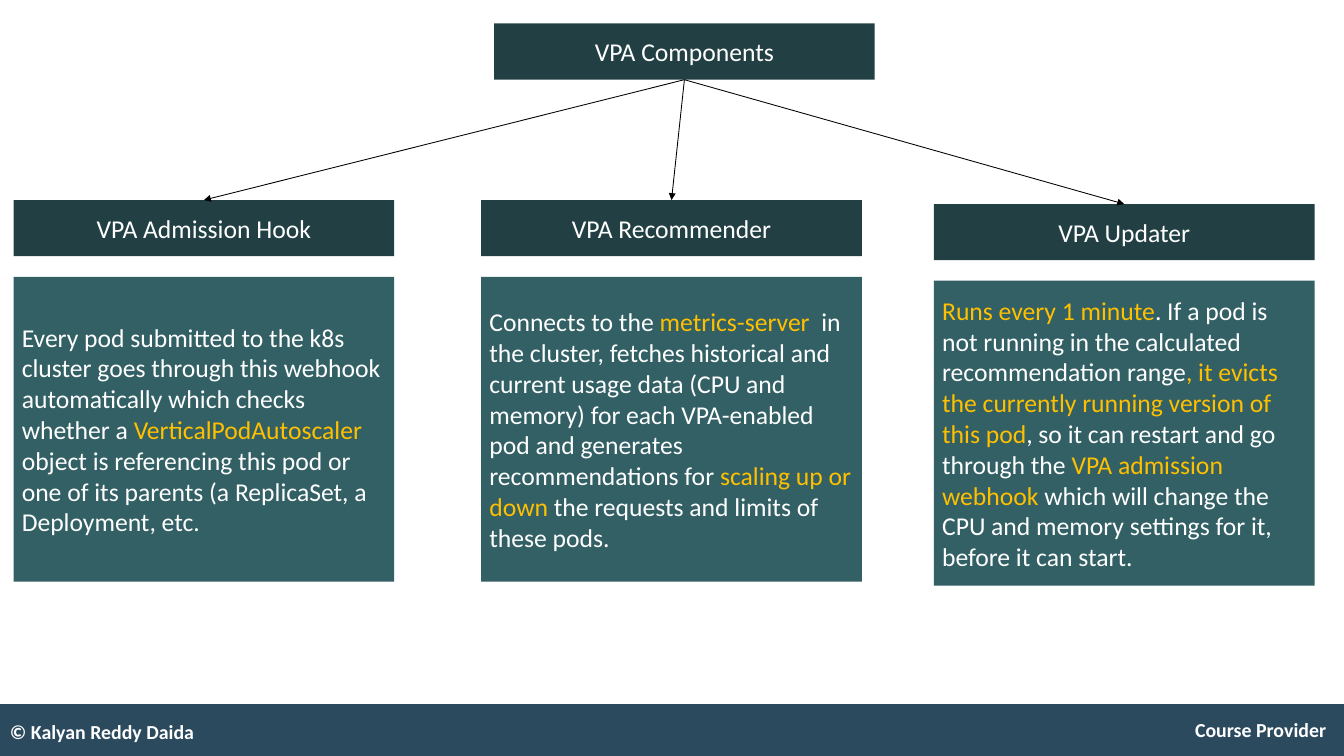
from lxml import etree
from pptx import Presentation
from pptx.dml.color import RGBColor
from pptx.enum.shapes import MSO_CONNECTOR, MSO_SHAPE
from pptx.enum.text import MSO_ANCHOR, MSO_AUTO_SIZE, PP_ALIGN
from pptx.oxml.ns import qn
from pptx.util import Cm, Pt

RECTANGLE = MSO_SHAPE.RECTANGLE
STRAIGHT = MSO_CONNECTOR.STRAIGHT
LEFT, CENTER = PP_ALIGN.LEFT, PP_ALIGN.CENTER

# Content: each text is a list of (wording, colour) runs
WHITE, GOLD, BLACK = "FFFFFF", "FFC000", "000000"
HEADER_FILL, BODY_FILL, FOOTER_FILL = "224043", "326065", "2B4A5E"
FONT = "Calibri"

TITLE = "VPA Components"
AUTHOR = "© Kalyan Reddy Daida"
BRAND = "Course Provider"

# Name, left and top in cm, description
COMPONENTS = [
    ("VPA Admission Hook", 0.41, 6.05, [
        ("Every pod submitted to the k8s cluster goes through this webhook "
         "automatically which checks whether a ", WHITE),
        ("VerticalPodAutoscaler ", GOLD),
        ("object is referencing this pod or one of its parents "
         "(a ReplicaSet, a Deployment, etc.", WHITE),
    ]),
    ("VPA Recommender", 14.55, 6.05, [
        ("Connects to the ", WHITE),
        ("metrics-server ", GOLD),
        (" in the cluster, fetches historical and current usage data "
         "(CPU and memory) for each VPA-enabled pod and generates "
         "recommendations for ", WHITE),
        ("scaling up or down ", GOLD),
        ("the requests and limits of these pods.", WHITE),
    ]),
    ("VPA Updater", 28.24, 6.17, [
        ("Runs every 1 minute", GOLD),
        (". If a pod is not running in the calculated recommendation range",
         WHITE),
        (", it evicts the currently running version of this pod", GOLD),
        (", so it can restart and go through the ", WHITE),
        ("VPA admission webhook", GOLD),
        (" which will change the CPU and memory settings for it, "
         "before it can start.", WHITE),
    ]),
]

# Layout in cm
SLIDE_WIDTH, SLIDE_HEIGHT = 40.64, 22.86
BOX_WIDTH, HEADER_HEIGHT, BODY_HEIGHT = 11.51, 1.7, 9.22
BODY_OFFSET = 2.32
TITLE_LEFT, TITLE_TOP = 14.94, 0.71
FOOTER_TOP = 21.29


def colour(value):
    return RGBColor.from_string(value)


def paint(shape, fill):
    shape.fill.solid()
    shape.fill.fore_color.rgb = colour(fill)
    shape.line.fill.background()


def write(shape, runs, alignment, size=22, bold=False, margins=(0.25, 0.13)):
    frame = shape.text_frame
    frame.word_wrap = True
    frame.auto_size = MSO_AUTO_SIZE.NONE
    frame.vertical_anchor = MSO_ANCHOR.MIDDLE
    frame.margin_left = frame.margin_right = Cm(margins[0])
    frame.margin_top = frame.margin_bottom = Cm(margins[1])
    paragraph = frame.paragraphs[0]
    paragraph.alignment = alignment
    for text, run_colour in runs:
        run = paragraph.add_run()
        run.text = text
        run.font.name = FONT
        run.font.size = Pt(size)
        run.font.bold = bold
        run.font.color.rgb = colour(run_colour)


def add_box(slide, left, top, width, height, fill):
    shape = slide.shapes.add_shape(
        RECTANGLE, Cm(left), Cm(top), Cm(width), Cm(height))
    shape.shadow.inherit = False
    paint(shape, fill)
    return shape


def add_footer_text(slide, text, left, top, width, alignment):
    box = slide.shapes.add_textbox(Cm(left), Cm(top), Cm(width), Cm(1.22))
    write(box, [(text, WHITE)], alignment, 17, True, (0.3, 0.15))


def add_arrow(slide, source, target):
    arrow = slide.shapes.add_connector(STRAIGHT, 0, 0, 0, 0)
    arrow.begin_connect(source, 2)
    arrow.end_connect(target, 0)
    arrow.line.color.rgb = colour(BLACK)
    arrow.line.width = Pt(0.75)
    line = arrow.line._get_or_add_ln()
    etree.SubElement(line, qn("a:tailEnd"), type="triangle")
    etree.SubElement(arrow._element.spPr, qn("a:effectLst"))


def main():
    presentation = Presentation()
    presentation.slide_width = Cm(SLIDE_WIDTH)
    presentation.slide_height = Cm(SLIDE_HEIGHT)
    slide = presentation.slides.add_slide(presentation.slide_layouts[5])

    # Footer band
    add_box(slide, 0, FOOTER_TOP, SLIDE_WIDTH, SLIDE_HEIGHT - FOOTER_TOP,
            FOOTER_FILL)
    add_footer_text(slide, BRAND, 35.3, 21.44, 5.64, CENTER)
    add_footer_text(slide, AUTHOR, 0, 21.51, 13.72, LEFT)

    # Title box at the root of the tree
    title = slide.shapes.title
    title.left, title.top = Cm(TITLE_LEFT), Cm(TITLE_TOP)
    title.width, title.height = Cm(BOX_WIDTH), Cm(HEADER_HEIGHT)
    paint(title, HEADER_FILL)
    write(title, [(TITLE, WHITE)], CENTER)

    # One header, description and arrow per component
    for name, left, top, description in COMPONENTS:
        header = add_box(slide, left, top, BOX_WIDTH, HEADER_HEIGHT,
                         HEADER_FILL)
        write(header, [(name, WHITE)], CENTER)
        body = add_box(slide, left, top + BODY_OFFSET, BOX_WIDTH, BODY_HEIGHT,
                       BODY_FILL)
        write(body, description, LEFT)
        add_arrow(slide, title, header)

    presentation.save("out.pptx")


if __name__ == "__main__":
    main()
